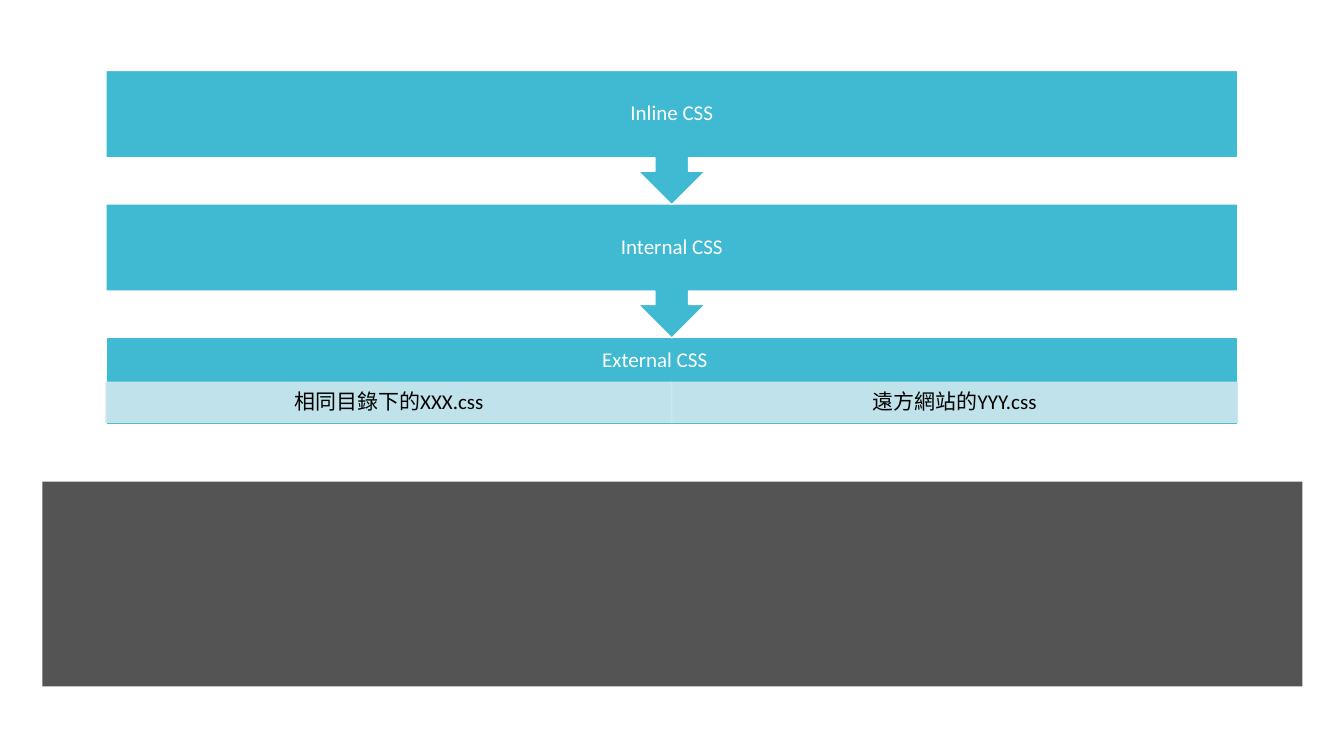
import pptx
import pptx.util
import pptx.dml.color
import pptx.enum.shapes
import pptx.enum.text
import lxml.etree

Cm = pptx.util.Cm
SHAPE = pptx.enum.shapes.MSO_SHAPE
TEAL, PALE, WHITE, BLACK, GREY = "40BAD2", "CFE7EE", "FFFFFF", "000000", "545454"


def paint(fmt, color, alpha=None):
    fmt.solid()
    fmt.fore_color.rgb = pptx.dml.color.RGBColor.from_string(color)
    if alpha:
        for clr in fmt._xPr.iter(pptx.oxml.ns.qn("a:srgbClr")):
            if clr.getparent().getparent() is fmt._xPr:
                lxml.etree.SubElement(clr, pptx.oxml.ns.qn("a:alpha")).set("val", str(alpha * 1000))


def write(sp, text, color=WHITE, size=15, insets=(0.3, 0.3, 0.3, 0.3)):
    tf = sp.text_frame
    tf.word_wrap = True
    tf.vertical_anchor = pptx.enum.text.MSO_ANCHOR.MIDDLE
    tf.margin_left, tf.margin_top, tf.margin_right, tf.margin_bottom = map(Cm, insets)
    p = tf.paragraphs[0]
    p.alignment = pptx.enum.text.PP_ALIGN.CENTER
    p.line_spacing = 0.9
    r = p.add_run()
    r.text = text
    r.font.name = "Calibri"
    r.font.size = pptx.util.Pt(size)
    paint(r.font.fill, color)


prs = pptx.Presentation()
prs.slide_width, prs.slide_height = Cm(33.87), Cm(19.05)
s = prs.slides.add_slide(prs.slide_layouts[6])
paint(s.background.fill, WHITE)

band = s.shapes.add_shape(SHAPE.RECTANGLE, Cm(1.07), Cm(12.14), Cm(31.75), Cm(5.16))
band.shadow.inherit = False
paint(band.fill, GREY)
band.line.fill.background()

left, width = 2.67, 28.52
top, step = 1.78, 3.36
half = width / 2
source_insets = (0.3, 0.05, 0.3, 0.05)
boxes = [
    (SHAPE.RECTANGLE, left, top + 2 * step, width, 2.21, TEAL, WHITE, None,
     "External CSS", WHITE, (0.3, 0.3, 1.16, 1.32)),
    (SHAPE.RECTANGLE, left, 9.63, half, 1.02, PALE, PALE, 90,
     "相同目錄下的XXX.css", BLACK, source_insets),
    (SHAPE.RECTANGLE, left + half, 9.63, half, 1.02, PALE, PALE, 90,
     "遠方網站的YYY.css", BLACK, source_insets),
]
for i, text in ((1, "Internal CSS"), (0, "Inline CSS")):
    boxes.append((SHAPE.DOWN_ARROW_CALLOUT, left, top + i * step, width, 3.38, TEAL, WHITE, None,
                  text, WHITE, (0.3, 0.3, 0.3, 0.3)))

for kind, x, y, w, h, fill, line, alpha, text, color, insets in boxes:
    sp = s.shapes.add_shape(kind, Cm(x), Cm(y), Cm(w), Cm(h))
    sp.shadow.inherit = False
    paint(sp.fill, fill, alpha)
    paint(sp.line.fill, line, alpha)
    sp.line.width = pptx.util.Pt(0.85)
    write(sp, text, color=color, insets=insets)

prs.save("out.pptx")
